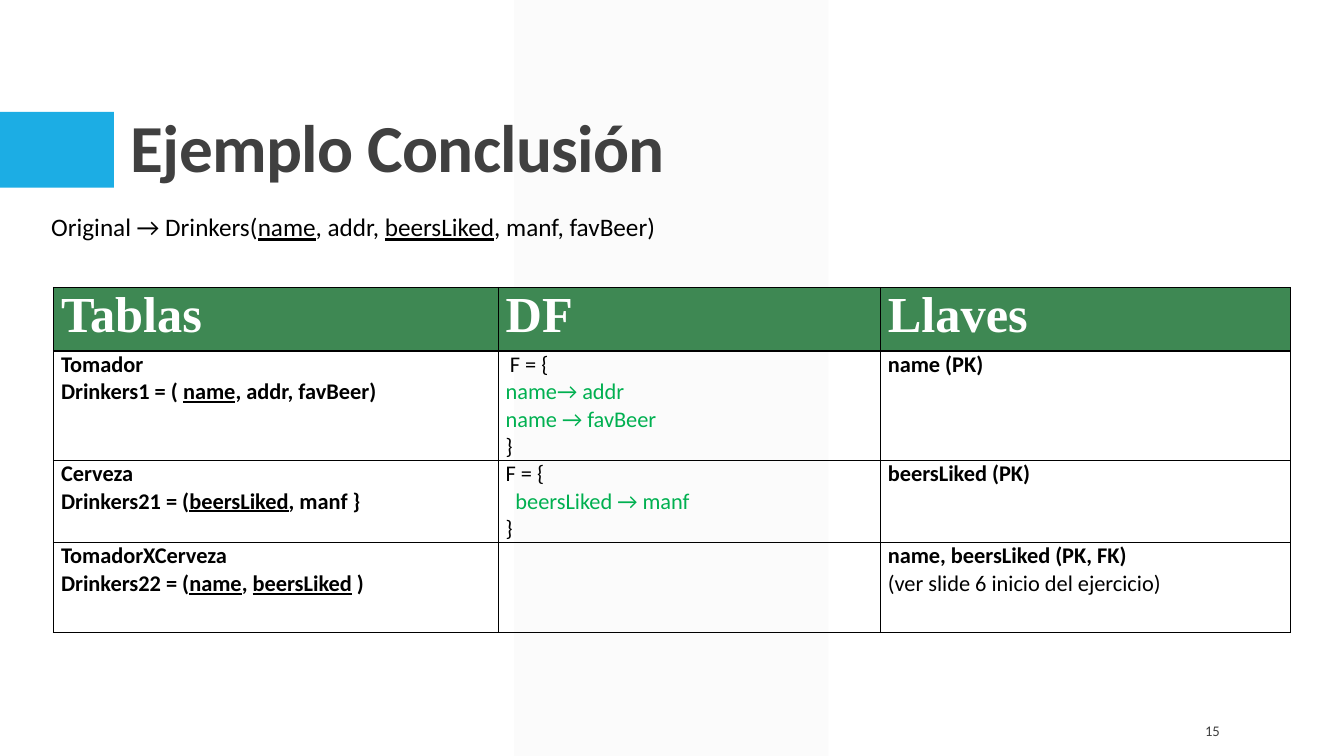
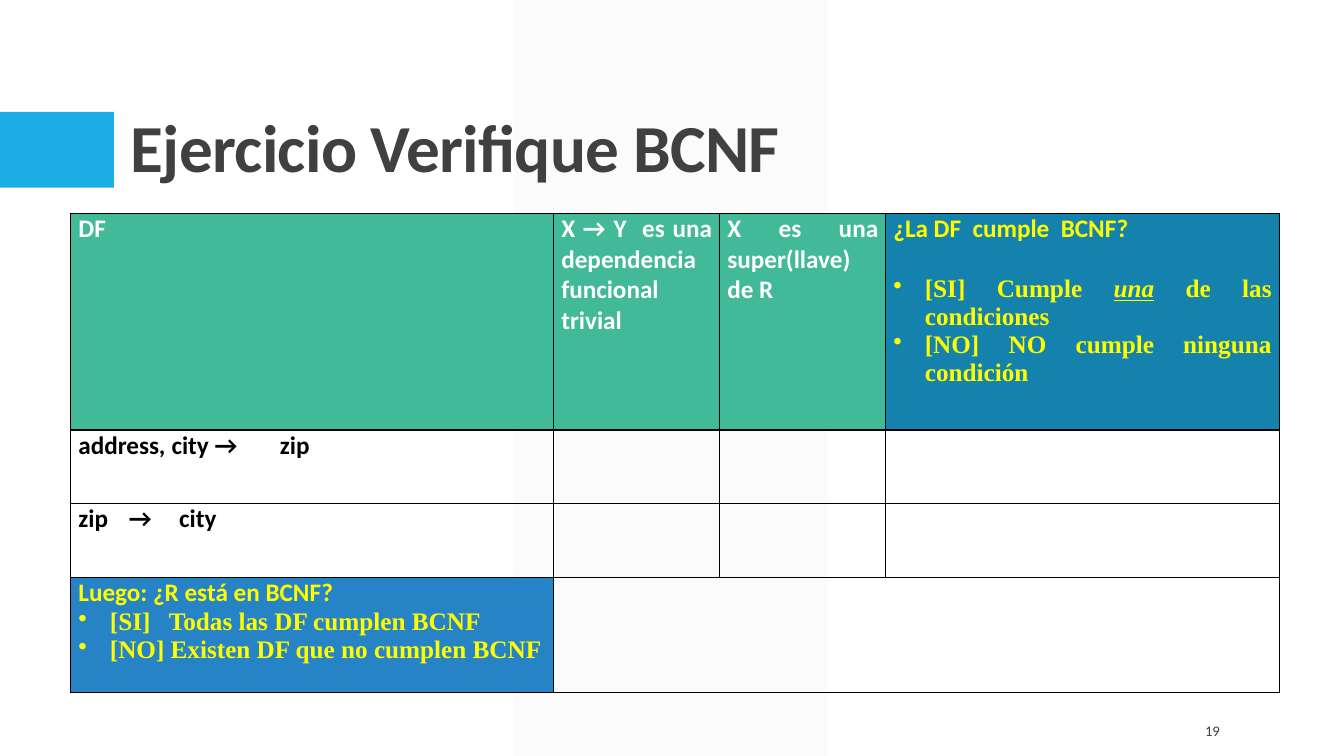
import lxml.etree
import pptx
import pptx.dml.color
import pptx.enum.shapes
import pptx.enum.text
import pptx.oxml
import pptx.oxml.ns
import pptx.util

Pt = pptx.util.Pt
RGBColor = pptx.dml.color.RGBColor
Shape = pptx.enum.shapes.MSO_SHAPE
Align = pptx.enum.text.PP_ALIGN
Anchor = pptx.enum.text.MSO_ANCHOR
qn = pptx.oxml.ns.qn

# Colours
BLACK = RGBColor(0x00, 0x00, 0x00)
WHITE = RGBColor(0xFF, 0xFF, 0xFF)
DARK_GREY = RGBColor(0x40, 0x40, 0x40)
PALE_GREY = RGBColor(0xF2, 0xF2, 0xF2)
SKY = RGBColor(0x1C, 0xAD, 0xE4)
FOREST = RGBColor(0x3E, 0x88, 0x53)
MINT = RGBColor(0x42, 0xBA, 0x97)
TEAL = RGBColor(0x14, 0x82, 0xAC)
BLUE = RGBColor(0x26, 0x83, 0xC6)
GREEN = RGBColor(0x00, 0xB0, 0x50)
YELLOW = RGBColor(0xFF, 0xFF, 0x00)

# Text formats
SERIF = "Times New Roman"
TITLE = {"name": "Calibri", "size": Pt(48), "bold": True, "color": DARK_GREY}
NUMBER = {"name": "Calibri", "size": Pt(10.5), "color": DARK_GREY}
SCHEMA = {"name": "Calibri", "size": Pt(18), "color": BLACK}
HEADING = {"name": SERIF, "size": Pt(36), "bold": True, "color": WHITE}
BODY = {"name": "Calibri", "size": Pt(16), "color": BLACK}
STRONG = {**BODY, "bold": True}
CRITERION = {"name": "Calibri", "size": Pt(18), "bold": True, "color": WHITE}
DEPENDENCY = {**CRITERION, "color": BLACK}
QUESTION = {**CRITERION, "color": YELLOW}
ANSWER = {**QUESTION, "name": SERIF}
KEY = {"underline": True}


def line(style, *spans, **layout):
    """One paragraph; a span is a text or a (text, changed formats) pair."""
    return {"style": style, "spans": spans, **layout}


def bullet(*spans):
    return line(ANSWER, *spans, left=22.5, hanging=-22.5, bullet="•")


def cell_of(*lines, fill=None):
    return {"lines": lines, "fill": fill}


def format_font(font, formats):
    for name, value in formats.items():
        if name == "color":
            font.color.rgb = value
        else:
            setattr(font, name, value)


def write_lines(frame, lines, align):
    for index, item in enumerate(lines):
        para = frame.paragraphs[0] if index == 0 else frame.add_paragraph()
        para.alignment = align
        para.space_after = Pt(item.get("after", 0))
        properties = para._p.get_or_add_pPr()
        properties.set("marL", str(Pt(item.get("left", 0))))
        properties.set("indent", str(Pt(item.get("hanging", 0))))
        if "bullet" in item:
            mark = lxml.etree.SubElement(properties, qn("a:buChar"))
            mark.set("char", item["bullet"])
        for part in item["spans"]:
            text, changes = (part, {}) if isinstance(part, str) else part
            span = para.add_run()
            span.text = text
            format_font(span.font, {**item["style"], **changes})


def add_text(page, box, item, align=Align.LEFT, anchor=Anchor.TOP, wrap=True):
    frame = page.shapes.add_textbox(*map(Pt, box)).text_frame
    frame.word_wrap = wrap
    frame.vertical_anchor = anchor
    write_lines(frame, [item], align)
    return frame.paragraphs[0]


def add_block(page, kind, box, colour):
    block = page.shapes.add_shape(kind, *map(Pt, box))
    block.shadow.inherit = False
    block.fill.solid()
    block.fill.fore_color.rgb = colour
    block.line.fill.background()
    return block


def add_page(deck, title, number):
    """Blank page with the shared band, accent, title and number."""
    page = deck.slides.add_slide(deck.slide_layouts[6])
    band = add_block(page, Shape.PARALLELOGRAM, (367.2, 0, 224.6, 540), PALE_GREY)
    band.adjustments[0] = 0
    colour = band._element.spPr.find(qn("a:solidFill"))[0]
    lxml.etree.SubElement(colour, qn("a:alpha")).set("val", "30000")
    add_block(page, Shape.RECTANGLE, (0, 80, 81.4, 54), SKY)

    heading = add_text(page, (86.4, 22.3, 792, 114.5), line(TITLE, title),
                       anchor=Anchor.BOTTOM)
    heading.line_spacing = 0.9
    heading.runs[0].font._element.set("spc", "-50")
    add_text(page, (817.2, 507.6, 61.2, 28.8), line(NUMBER, number),
             align=Align.RIGHT, anchor=Anchor.MIDDLE)
    return page


def add_borders(cell):
    properties = cell._tc.get_or_add_tcPr()
    for index, side in enumerate(("a:lnL", "a:lnR", "a:lnT", "a:lnB")):
        border = lxml.etree.Element(qn(side), w=str(Pt(1)))
        fill = lxml.etree.SubElement(border, qn("a:solidFill"))
        lxml.etree.SubElement(fill, qn("a:srgbClr")).set("val", str(BLACK))
        properties.insert(index, border)


def add_grid(page, corner, widths, heights, rows):
    """Bordered table whose size follows from its columns and rows."""
    box = (*corner, sum(widths), sum(heights))
    table = page.shapes.add_table(len(heights), len(widths), *map(Pt, box)).table
    table.first_row = table.horz_banding = False
    for column, width in zip(table.columns, widths):
        column.width = Pt(width)
    for row, height, contents in zip(table.rows, heights, rows):
        row.height = Pt(height)
        for cell, content in zip(row.cells, contents):
            cell.margin_left = cell.margin_right = Pt(5.4)
            cell.margin_top = cell.margin_bottom = 0
            if content["fill"] is None:
                cell.fill.background()
            else:
                cell.fill.solid()
                cell.fill.fore_color.rgb = content["fill"]
            add_borders(cell)
            write_lines(cell.text_frame, content["lines"], Align.JUSTIFY)
    return table


def add_conclusion(deck):
    page = add_page(deck, "Ejemplo Conclusión", "15")
    header = [cell_of(line(HEADING, text), fill=FOREST)
              for text in ("Tablas", "DF", "Llaves")]
    derived = {**BODY, "color": GREEN}
    rows = [
        header,
        [cell_of(line(STRONG, "Tomador"),
                 line(STRONG, "Drinkers1 = ( ", ("name", KEY), ", addr, favBeer)")),
         cell_of(line(BODY, "F = {", left=3),
                 line(derived, "name→ addr"),
                 line(derived, "name → favBeer"),
                 line(BODY, "}")),
         cell_of(line(STRONG, "name (PK)"))],
        [cell_of(line(STRONG, "Cerveza"),
                 line(STRONG, "Drinkers21 = (", ("beersLiked", KEY), ", manf }")),
         cell_of(line(BODY, "F = {"),
                 line(derived, "beersLiked → manf", left=7),
                 line(BODY, "}")),
         cell_of(line(STRONG, "beersLiked (PK)"))],
        [cell_of(line(STRONG, "TomadorXCerveza"),
                 line(STRONG, "Drinkers22 = (", ("name", KEY), ", ",
                      ("beersLiked", KEY), " )")),
         cell_of(),
         cell_of(line(STRONG, "name, beersLiked (PK, FK)"),
                 line(BODY, "(ver slide 6 inicio del ejercicio)"))],
    ]
    add_grid(page, (38.2, 205.4), (317.6, 273, 293), (45.4, 78, 58.8, 64), rows)
    add_text(page, (29.5, 147.6, 450.7, 28.8),
             line(SCHEMA, "Original → Drinkers(", ("name", KEY), ", addr, ",
                  ("beersLiked", KEY), ", manf, favBeer)"), wrap=False)


def add_exercise(deck):
    page = add_page(deck, "Ejercicio Verifique BCNF", "19")
    criteria = ("DF", "X → Y  es una dependencia funcional trivial",
                "X es una super(llave) de R")
    header = [cell_of(line(CRITERION, text), fill=MINT) for text in criteria]
    header.append(cell_of(
        line(QUESTION, "¿La DF  cumple  BCNF?", after=22),
        bullet("[SI] Cumple ", ("una", {"italic": True, "underline": True}),
               " de las condiciones"),
        bullet("[NO] NO cumple ninguna condición"), fill=TEAL))
    blanks = [cell_of()] * 3
    verdict = cell_of(line(QUESTION, "Luego: ¿R está en BCNF?"),
                      bullet("[SI]   Todas las DF cumplen BCNF"),
                      bullet("[NO] Existen DF que no cumplen BCNF"), fill=BLUE)
    rows = [
        header,
        [cell_of(line(DEPENDENCY, "address", (",", {"italic": True}),
                      " city → \tzip")), *blanks],
        [cell_of(line(DEPENDENCY, "zip \t→ \tcity")), *blanks],
        [verdict, *blanks],
    ]
    table = add_grid(page, (50.6, 152.4), (345, 118.6, 118.6, 281),
                     (154.8, 52.6, 52.6, 82.2), rows)
    table.cell(3, 1).merge(table.cell(3, 3))


def main():
    deck = pptx.Presentation()
    deck.slide_width, deck.slide_height = Pt(960), Pt(540)
    add_conclusion(deck)
    add_exercise(deck)
    deck.save("out.pptx")


if __name__ == "__main__":
    main()
